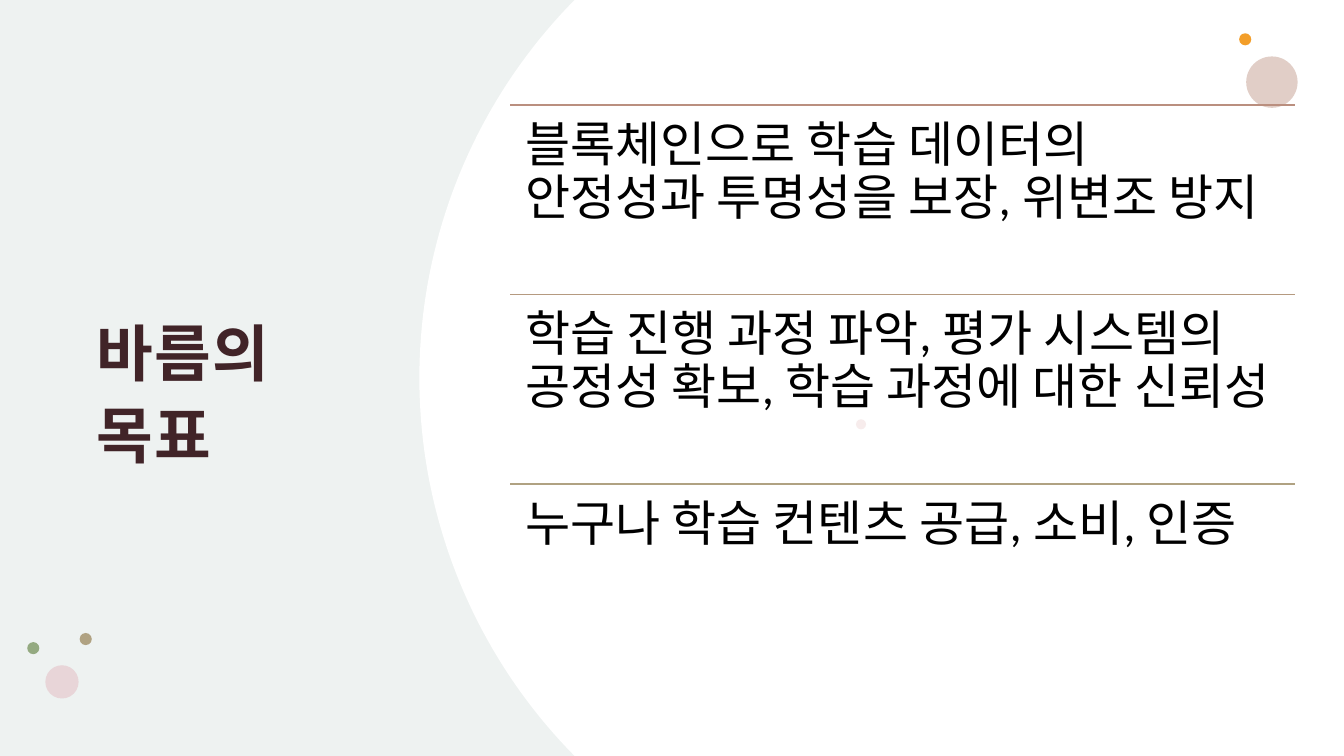
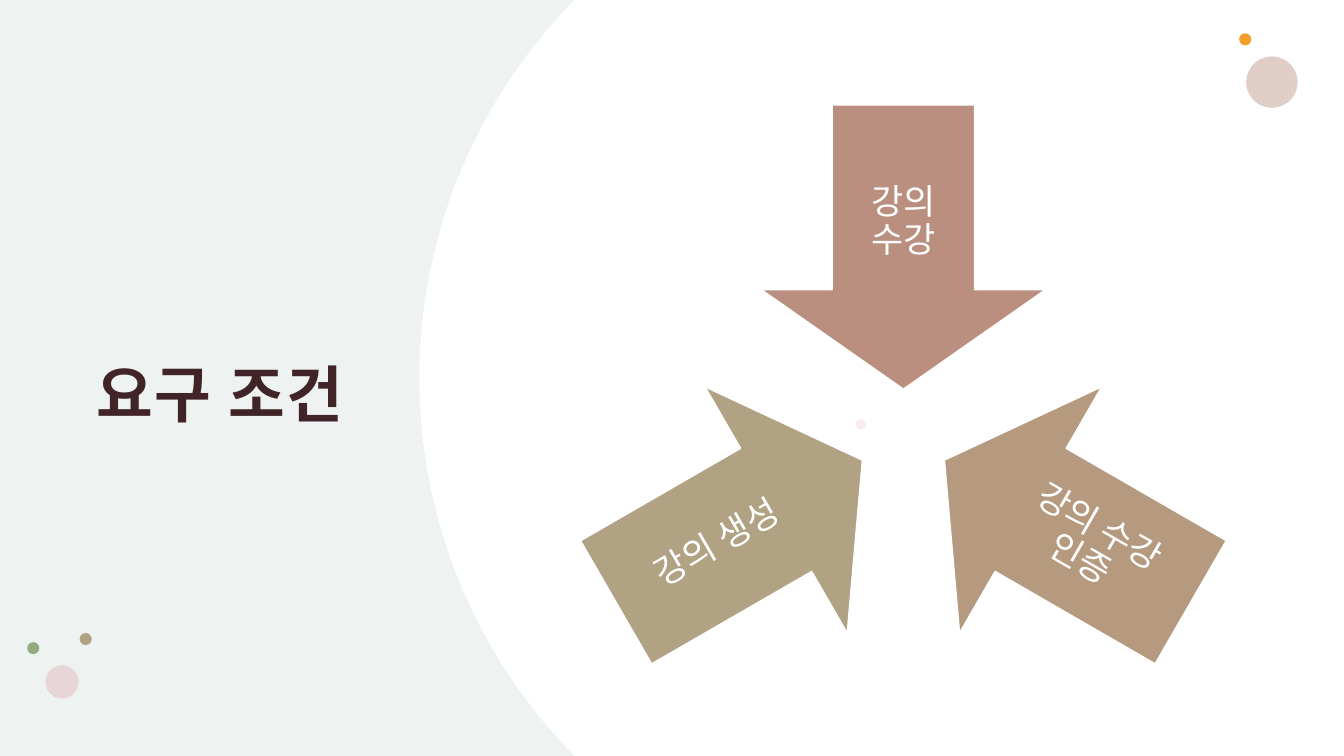
from dataclasses import dataclass
from math import asin, cos, radians, sin

from lxml.etree import SubElement
from pptx import Presentation
from pptx.dml.color import RGBColor
from pptx.enum.shapes import MSO_CONNECTOR, MSO_SHAPE
from pptx.enum.text import MSO_ANCHOR, MSO_AUTO_SIZE, PP_ALIGN
from pptx.oxml.ns import qn
from pptx.util import Inches, Pt


@dataclass(frozen=True)
class Theme:
    width: float = 13.33
    height: float = 7.5
    font: str = "Calibri"
    title_size: int = 44
    goal_size: int = 35
    arrow_size: int = 25
    panel: str = "EEF2F1"
    white: str = "FFFFFF"
    black: str = "000000"
    title: str = "412428"
    accents: tuple = ("BA8F7F", "B59A80", "B0A282")
    dots: tuple = (
        (12.36, 0.56, 0.51, "D6BCB2", 72),
        (12.29, 0.33, 0.12, "F39E29", 100),
        (8.49, 4.16, 0.1, "E3BEBE", 28),
        (0.79, 6.28, 0.12, "B0A282", 100),
        (0.45, 6.6, 0.33, "E8D5D8", 100),
        (0.27, 6.37, 0.12, "94AA81", 100),
    )


GOALS = (
    "블록체인으로 학습 데이터의 안정성과 투명성을 보장, 위변조 방지",
    "학습 진행 과정 파악, 평가 시스템의 공정성 확보, 학습 과정에 대한 신뢰성",
    "누구나 학습 컨텐츠 공급, 소비, 인증",
)
REQUIREMENTS = (
    ("강의 수강", 0, 0, (1.41, 2.32)),
    ("강의 수강 인증", 120, 30, (2.32, 1.41)),
    ("강의 생성", 240, 330, (2.32, 1.41)),
)


def set_attributes(target, values):
    for name, value in values.items():
        setattr(target, name, value)


def centred(x, y, width, height):
    return x - width / 2, y - height / 2, width, height


class Deck:
    def __init__(self, theme):
        self.theme = theme
        self.presentation = Presentation()
        self.presentation.slide_width = Inches(theme.width)
        self.presentation.slide_height = Inches(theme.height)
        self.slide = None

    def add_slide(self, title):
        layout = self.presentation.slide_layouts[5]
        self.slide = self.presentation.slides.add_slide(layout)
        fill = self.slide.background.fill
        fill.solid()
        fill.fore_color.rgb = RGBColor.from_string(self.theme.panel)
        self.add_curve()
        for left, top, size, color, opacity in self.theme.dots:
            self.add_shape(MSO_SHAPE.OVAL, (left, top, size, size), color, opacity)
        self.add_title(title)

    def add_title(self, text):
        title = self.slide.shapes.title
        box = dict(zip(("left", "top", "width", "height"), map(Inches, (0.84, 1.04, 3.13, 5.64))))
        set_attributes(title, box)
        run = self.fill_frame(
            title.text_frame, text, self.theme.title_size, self.theme.title, 0.12,
            {"line_spacing": 1.1, "alignment": PP_ALIGN.LEFT}, MSO_ANCHOR.MIDDLE,
        )
        run.font.bold = True
        run.font._element.set("spc", "100")

    def add_curve(self):
        edge, half, sagitta = 4.16, self.theme.height / 2, 1.54
        radius = (sagitta ** 2 + half ** 2) / (2 * sagitta)
        sweep, steps = asin(half / radius), 80
        angles = [sweep - 2 * sweep * step / steps for step in range(steps + 1)]
        arc = [(edge + radius * (1 - cos(angle)), half - radius * sin(angle)) for angle in angles]
        corners = [(self.theme.width, self.theme.height), (self.theme.width, 0)]
        points = [(Inches(x), Inches(y)) for x, y in arc + corners]
        builder = self.slide.shapes.build_freeform(*points[0])
        builder.add_line_segments(points[1:], close=True)
        self.paint(builder.convert_to_shape(), self.theme.white)

    def paint(self, shape, color, opacity=100):
        shape.shadow.inherit = False
        shape.fill.solid()
        shape.fill.fore_color.rgb = RGBColor.from_string(color)
        shape.line.fill.background()
        if opacity < 100:
            tint = shape.element.spPr.find(qn("a:solidFill")).find(qn("a:srgbClr"))
            SubElement(tint, qn("a:alpha")).set("val", str(opacity * 1000))

    def add_shape(self, kind, box, color, opacity=100):
        shape = self.slide.shapes.add_shape(kind, *map(Inches, box))
        self.paint(shape, color, opacity)
        return shape

    def add_arrow(self, box, color, rotation):
        arrow = self.add_shape(MSO_SHAPE.DOWN_ARROW, box, color)
        arrow.adjustments[0], arrow.adjustments[1] = 0.5, 0.35
        arrow.rotation = rotation
        arrow.line.color.rgb = RGBColor.from_string(self.theme.white)
        arrow.line.width = Pt(1)

    def add_rule(self, left, top, width, color):
        ends = map(Inches, (left, top, left + width, top))
        rule = self.slide.shapes.add_connector(MSO_CONNECTOR.STRAIGHT, *ends)
        rule.line.color.rgb = RGBColor.from_string(color)
        rule.line.width = Pt(1)
        SubElement(rule._element.spPr, qn("a:effectLst"))

    def add_text(self, box, text, size, color, margin,
                 alignment=PP_ALIGN.LEFT, anchor=MSO_ANCHOR.TOP, rotation=0):
        shape = self.slide.shapes.add_textbox(*map(Inches, box))
        shape.rotation = rotation
        layout = {"line_spacing": 0.9, "alignment": alignment}
        self.fill_frame(shape.text_frame, text, size, color, margin, layout, anchor)

    def fill_frame(self, frame, text, size, color, margin, layout, anchor):
        sides = ("left", "top", "right", "bottom")
        set_attributes(frame, {f"margin_{side}": Inches(margin) for side in sides})
        set_attributes(frame, {
            "word_wrap": True, "auto_size": MSO_AUTO_SIZE.NONE, "vertical_anchor": anchor,
        })
        paragraph = frame.paragraphs[0]
        set_attributes(paragraph, layout)
        run = paragraph.add_run()
        run.text = text
        set_attributes(run.font, {"name": self.theme.font, "size": Pt(size)})
        run.font.color.rgb = RGBColor.from_string(color)
        return run


def build_goals(deck):
    theme = deck.theme
    deck.add_slide("바름의 목표")
    left, top, width, row_height = 5.06, 1.04, 7.78, 1.88
    for row, (goal, color) in enumerate(zip(GOALS, theme.accents)):
        row_top = top + row * row_height
        deck.add_rule(left, row_top, width, color)
        deck.add_text((left, row_top, width, row_height), goal,
                      theme.goal_size, theme.black, 0.15)


def build_requirements(deck):
    theme = deck.theme
    deck.add_slide("요구 조건")
    centre_x, centre_y, arrow_size = 8.96, 4.33, 2.82
    arrow_distance, label_distance = 1.88, 2.13

    def place(distance, angle):
        return (centre_x + distance * sin(radians(angle)),
                centre_y - distance * cos(radians(angle)))

    for (label, angle, tilt, label_size), color in zip(REQUIREMENTS, theme.accents):
        arrow_box = centred(*place(arrow_distance, angle), arrow_size, arrow_size)
        deck.add_arrow(arrow_box, color, angle)
        label_box = centred(*place(label_distance, angle), *label_size)
        deck.add_text(label_box, label, theme.arrow_size, theme.white, 0.19,
                      PP_ALIGN.CENTER, MSO_ANCHOR.MIDDLE, tilt)


def main():
    deck = Deck(Theme())
    build_goals(deck)
    build_requirements(deck)
    deck.presentation.save("out.pptx")


if __name__ == "__main__":
    main()
